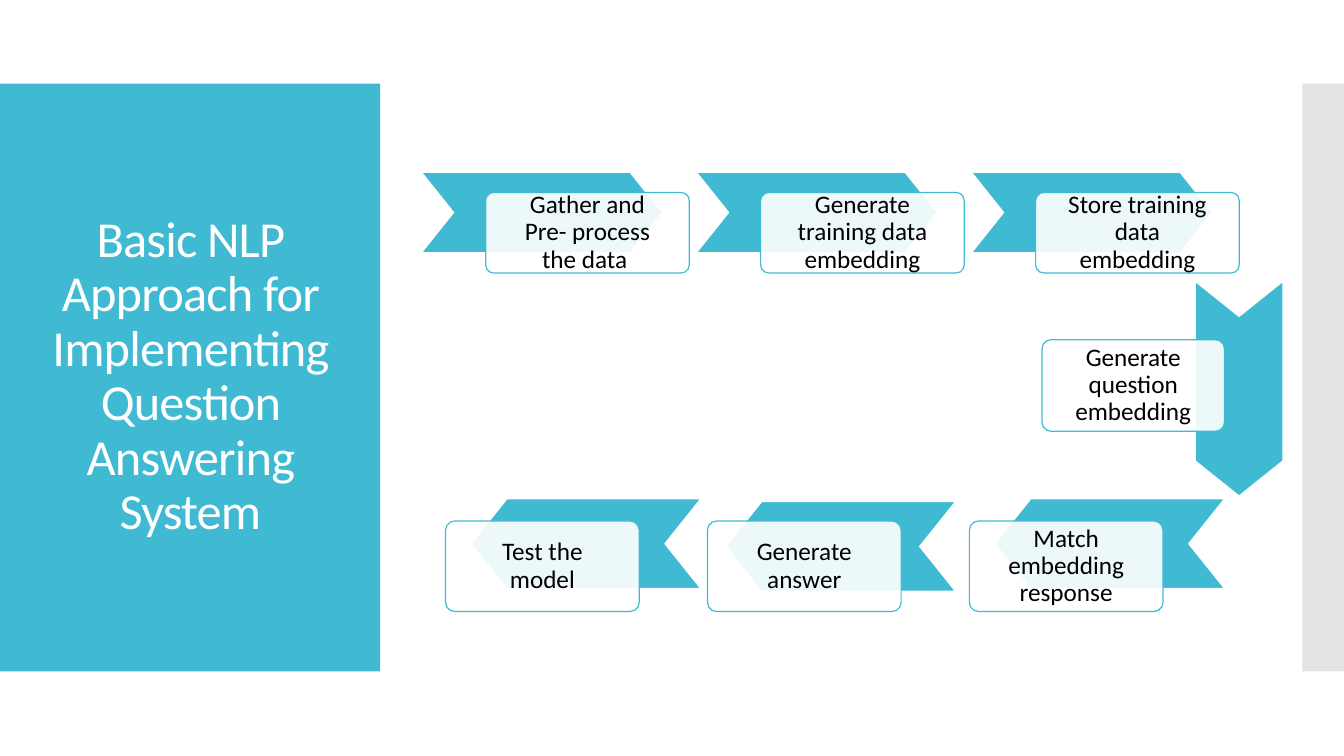
from lxml import etree
from pptx import Presentation
from pptx.dml.color import RGBColor
from pptx.enum.shapes import MSO_SHAPE
from pptx.enum.text import MSO_ANCHOR, PP_ALIGN
from pptx.oxml.ns import qn
from pptx.util import Cm, Pt

RECT, ROUNDED, CHEVRON = MSO_SHAPE.RECTANGLE, MSO_SHAPE.ROUNDED_RECTANGLE, MSO_SHAPE.CHEVRON
MIDDLE, CENTER = MSO_ANCHOR.MIDDLE, PP_ALIGN.CENTER
TEAL, WHITE, BLACK, GREY = "40BAD2", "FFFFFF", "000000", "C8C8C8"
FONT = "Calibri"


def color(value):
    """Turn a hex string into a colour."""
    return RGBColor.from_string(value)


def add_block(s, kind, box, fill, line=None, opacity=100):
    """Draw a filled shape in a box of left, top, width and height in cm."""
    sp = s.shapes.add_shape(kind, *(Cm(v) for v in box))
    sp.shadow.inherit = False
    sp.fill.solid()
    sp.fill.fore_color.rgb = color(fill)
    if opacity < 100:
        clr = sp.fill._xPr.find(".//" + qn("a:srgbClr"))
        etree.SubElement(clr, qn("a:alpha"), val=str(opacity * 1000))
    if line:
        sp.line.color.rgb = color(line)
        sp.line.width = Pt(0.85)
    else:
        sp.line.fill.background()
    return sp


def write_text(sp, text, size, ink, inset):
    """Write one centred paragraph into a shape and return its run."""
    tf = sp.text_frame
    formats = {"word_wrap": True, "vertical_anchor": MIDDLE}
    formats.update({f"margin_{side}": Cm(inset) for side in ("left", "top", "right", "bottom")})
    for name, value in formats.items():
        setattr(tf, name, value)
    p = tf.paragraphs[0]
    p.alignment, p.line_spacing = CENTER, 0.9
    r = p.add_run()
    r.text = text
    for name, value in {"name": FONT, "size": Pt(size)}.items():
        setattr(r.font, name, value)
    r.font.color.rgb = color(ink)
    return r


def add_title_panel(s, box, title):
    """Fill the left panel and set the title inside it."""
    left, top, width, height = box
    add_block(s, RECT, box, TEAL)
    area = (left + 0.71, top + 1.01, width - 1.4, height - 2.04)
    sp = s.shapes.add_textbox(*(Cm(v) for v in area))
    r = write_text(sp, title, 36, WHITE, 0.2)
    r.font._element.set("spc", "-60")


def add_step(s, text, box, arrow, turn=0):
    """Draw a label box over a chevron placed relative to that box."""
    left, top = box[:2]
    dx, dy, width, height = arrow
    chevron = add_block(s, CHEVRON, (left + dx, top + dy, width, height), TEAL, WHITE)
    chevron.adjustments[0] = 0.4
    chevron.rotation = turn
    label = add_block(s, ROUNDED, box, WHITE, TEAL, 90)
    label.adjustments[0] = 0.1
    write_text(label, text, 18, BLACK, 0.6)


def add_top_row(s, box, steps):
    """Place the steps that run to the right."""
    left, top, width, height = box
    step_width = 5.13
    pitch = (width - step_width) / (len(steps) - 1)
    for i, text in enumerate(steps):
        add_step(s, text, (left + i * pitch, top, step_width, height),
                 (-1.62, -0.51, 6.07, height))


def add_bottom_row(s, box, steps):
    """Place the steps that run back to the left, first step rightmost."""
    left, top, width, height = box
    step_width = 4.88
    pitch = (width - step_width) / (len(steps) - 1)
    for i, (text, dx, dy) in enumerate(steps):
        add_step(s, text, (left + width - step_width - i * pitch, top, step_width, height),
                 (dx, dy, 5.79, 2.26), 180)


def main():
    """Build the slide and save it."""
    prs = Presentation()
    prs.slide_width, prs.slide_height = Cm(33.87), Cm(19.05)
    s = prs.slides.add_slide(prs.slide_layouts[6])
    add_title_panel(s, (0, 2.11, 9.58, 14.81),
                    "Basic NLP Approach for Implementing Question Answering System")
    add_block(s, RECT, (32.82, 2.11, 1.05, 14.81), GREY, opacity=50)
    add_top_row(s, (12.24, 4.85, 18.99, 2.03),
                ["Gather and Pre- process the data ",
                 "Generate training data embedding",
                 "Store training data embedding"])
    add_bottom_row(s, (11.23, 13.13, 18.08, 2.28),
                   [("Match embedding response", 0.64, -0.56),
                    ("Generate answer", 0.46, -0.49),
                    ("Test the model", 0.64, -0.56)])
    add_step(s, "Generate question embedding", (26.26, 8.56, 4.6, 2.31),
             (2.26, 0.13, 5.41, 2.21), 90)
    prs.save("out.pptx")


if __name__ == "__main__":
    main()
